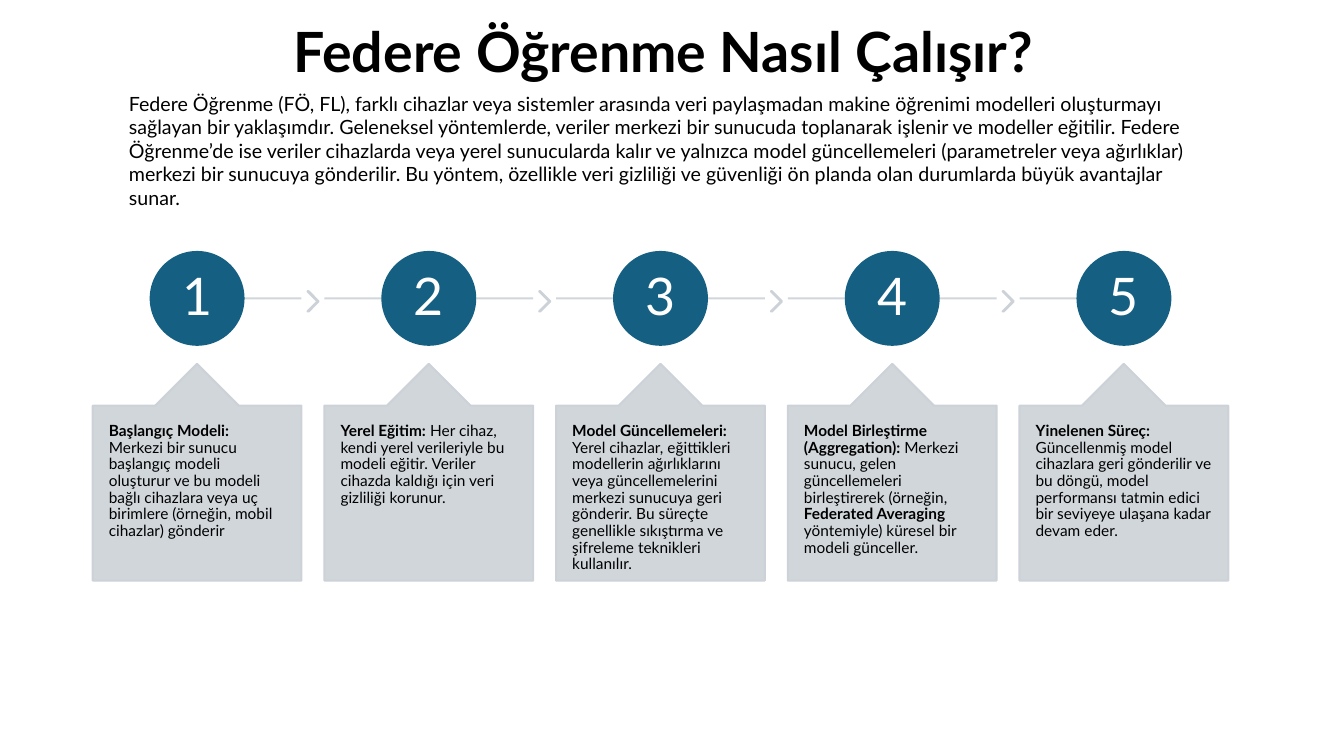
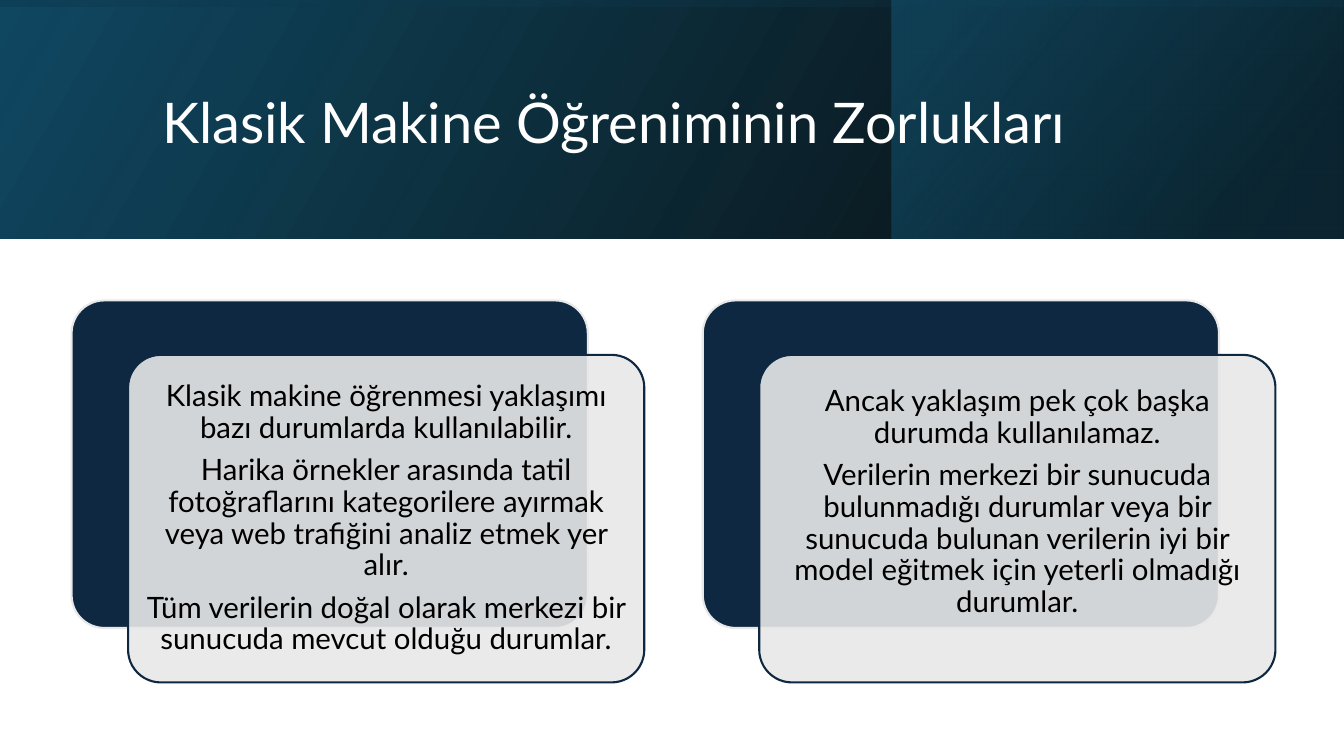
from lxml import etree
from pptx import Presentation
from pptx.dml.color import RGBColor
from pptx.enum import shapes, text
from pptx.oxml import ns
from pptx.util import Inches, Pt

COLORS = {"black": "000000", "white": "FFFFFF", "teal": "156082", "petrol": "104862",
          "deep": "0B3041", "mist": "CCD2D8", "navy": "0E2841", "pale": "E8E8E8"}
FONT = "Lato"
SHAPE = shapes.MSO_SHAPE
MIDDLE = text.MSO_ANCHOR.MIDDLE
TOP = text.MSO_ANCHOR.TOP
CENTER = text.PP_ALIGN.CENTER
LEFT = text.PP_ALIGN.LEFT

PROCESS_TITLE = "Federe Öğrenme Nasıl Çalışır?"
INTRO = (
    "Federe Öğrenme (FÖ, FL), farklı cihazlar veya sistemler arasında veri paylaşmadan "
    "makine öğrenimi modelleri oluşturmayı sağlayan bir yaklaşımdır. Geleneksel yöntemlerde, "
    "veriler merkezi bir sunucuda toplanarak işlenir ve modeller eğitilir. Federe Öğrenme’de "
    "ise veriler cihazlarda veya yerel sunucularda kalır ve yalnızca model güncellemeleri "
    "(parametreler veya ağırlıklar) merkezi bir sunucuya gönderilir. Bu yöntem, özellikle veri "
    "gizliliği ve güvenliği ön planda olan durumlarda büyük avantajlar sunar.")
STEPS = [
    ("Başlangıç Modeli:",
     " Merkezi bir sunucu başlangıç modeli oluşturur ve bu modeli bağlı cihazlara veya uç "
     "birimlere (örneğin, mobil cihazlar) gönderir"),
    ("Yerel Eğitim:",
     " Her cihaz, kendi yerel verileriyle bu modeli eğitir. Veriler cihazda kaldığı için veri "
     "gizliliği korunur."),
    ("Model Güncellemeleri:",
     " Yerel cihazlar, eğittikleri modellerin ağırlıklarını veya güncellemelerini merkezi "
     "sunucuya geri gönderir. Bu süreçte genellikle sıkıştırma ve şifreleme teknikleri "
     "kullanılır."),
    ("Model Birleştirme (Aggregation):",
     " Merkezi sunucu, gelen güncellemeleri birleştirerek (örneğin, ",
     "Federated Averaging", " yöntemiyle) küresel bir modeli günceller."),
    ("Yinelenen Süreç:",
     " Güncellenmiş model cihazlara geri gönderilir ve bu döngü, model performansı tatmin "
     "edici bir seviyeye ulaşana kadar devam eder."),
]

CHALLENGE_TITLE = "Klasik Makine Öğreniminin Zorlukları"
BANDS = [
    ((0, 0, 13.33, 2.37), 0, 330, [(0, "black", 96), (100, "petrol", 100)]),
    ((8.84, 0, 4.48, 2.37), 0, 320, [(19, "deep", 68), (100, "teal", 48)]),
    ((5.48, -5.48, 2.37, 13.33), 270, 350, [(23, "petrol", 16), (99, "black", 45)]),
]
CARDS = [
    (0.09, ["Klasik makine öğrenmesi yaklaşımı bazı durumlarda kullanılabilir.",
            "Harika örnekler arasında tatil fotoğraflarını kategorilere ayırmak veya web "
            "trafiğini analiz etmek yer alır.",
            "Tüm verilerin doğal olarak merkezi bir sunucuda mevcut olduğu durumlar."]),
    (0.41, ["Ancak yaklaşım pek çok başka durumda kullanılamaz.",
            "Verilerin merkezi bir sunucuda bulunmadığı durumlar veya bir sunucuda bulunan "
            "verilerin iyi bir model eğitmek için yeterli olmadığı durumlar."]),
]


def rgb(name):
    return RGBColor.from_string(COLORS[name])


def box(*lengths):
    return [Inches(v) for v in lengths]


def set_alpha(fill_xml, percent):
    for clr in fill_xml.iter(ns.qn("a:srgbClr")):
        etree.SubElement(clr, ns.qn("a:alpha")).set("val", str(percent * 1000))


def add_shape(s, kind, at, fill, line, adjustments=(), alpha=None):
    sp = s.shapes.add_shape(kind, *box(*at))
    sp.shadow.inherit = False
    for i, value in enumerate(adjustments):
        sp.adjustments[i] = value
    sp.fill.solid()
    sp.fill.fore_color.rgb = rgb(fill)
    if alpha:
        set_alpha(sp.element.spPr, alpha)
    sp.line.color.rgb = rgb(line)
    sp.line.width = Pt(1.5)
    return sp


def write(sp, paragraphs, size, color="black", align=LEFT, anchor=TOP,
          insets=(0.1, 0.05, 0.1, 0.05), spacing=0.9, after=0, bold=False):
    tf = sp.text_frame
    tf.word_wrap = True
    tf.vertical_anchor = anchor
    tf.margin_left, tf.margin_top, tf.margin_right, tf.margin_bottom = box(*insets)
    for i, parts in enumerate(paragraphs):
        p = tf.add_paragraph() if i else tf.paragraphs[0]
        p.alignment = align
        p.line_spacing = spacing
        p.space_after = Pt(after)
        p.font.name = FONT
        p.font.size = Pt(size)
        p.font.color.rgb = rgb(color)
        p.font.bold = bold
        if isinstance(parts, str):
            parts = [parts]
        for j, part in enumerate(parts):
            r = p.add_run()
            r.text = part
            if len(parts) > 1:
                r.font.bold = j % 2 == 0


def add_text(s, at, paragraphs, size, **style):
    write(s.shapes.add_textbox(*box(*at)), paragraphs, size, **style)


def add_title(s, at, title, size, **style):
    add_text(s, at, [title], size, anchor=MIDDLE, **style)


def add_line(s, x1, x2, y):
    line = s.shapes.add_connector(shapes.MSO_CONNECTOR.STRAIGHT, *box(x1, y, x2, y))
    line.line.color.rgb = rgb("mist")
    line.line.width = Pt(1.5)
    set_alpha(line.element.spPr, 90)
    etree.SubElement(line.element.spPr, ns.qn("a:effectLst"))


def add_band(s, at, rotation, angle, stops):
    sp = s.shapes.add_shape(SHAPE.RECTANGLE, *box(*at))
    sp.shadow.inherit = False
    sp.line.fill.background()
    sp.rotation = rotation
    spPr = sp.element.spPr
    spPr.find(ns.qn("a:xfrm")).set("flipH", "1")
    grad = etree.Element(ns.qn("a:gradFill"), rotWithShape="1")
    gs_list = etree.SubElement(grad, ns.qn("a:gsLst"))
    for position, color, alpha in stops:
        gs = etree.SubElement(gs_list, ns.qn("a:gs"), pos=str(position * 1000))
        etree.SubElement(gs, ns.qn("a:srgbClr"), val=COLORS[color])
        set_alpha(gs, alpha)
    etree.SubElement(grad, ns.qn("a:lin"), ang=str(angle * 60000), scaled="0")
    spPr.find(ns.qn("a:prstGeom")).addnext(grad)


def build_process(s):
    add_title(s, (0.83, 0.06, 11.5, 0.97), PROCESS_TITLE, 39.6, align=CENTER, bold=True)
    left, width, pitch, circle, axis = 0.92, 2.07, 2.298, 0.92, 2.96
    last = len(STEPS) - 1
    for i, step in enumerate(STEPS):
        x = left + i * pitch
        middle = x + width / 2
        add_line(s, x if i else middle, x + width if i < last else middle, axis)
        if i < last:
            add_shape(s, SHAPE.CHEVRON, (x + 2.13, 2.89, 0.11, 0.2), "mist", "mist", [0.9], 90)
        number = add_shape(s, SHAPE.OVAL, (middle - circle / 2, axis - circle / 2, circle, circle),
                           "teal", "teal")
        write(number, [str(i + 1)], 37, color="white", align=CENTER, anchor=MIDDLE,
              insets=[0.04] * 4)
        add_shape(s, SHAPE.UP_ARROW_CALLOUT, (x, 3.61, width, 2.15), "mist", "mist",
                  [0.5, 0.2, 0.2, 1], 90)
        add_text(s, (x, 4.02, width, 1.74), [step], 11, insets=(0.16, 0.18, 0.16, 0.18))
    add_text(s, (1.18, 0.86, 10.79, 1.28), [INTRO], 14, spacing=1.0)


def build_challenges(s):
    for band in BANDS:
        add_band(s, *band)
    add_title(s, (1.51, 0.38, 10.63, 1.72), CHALLENGE_TITLE, 40, color="white")
    left, top, width, height, pitch = 0.71, 2.98, 5.12, 3.25, 6.26
    for i, (bottom, paragraphs) in enumerate(CARDS):
        x = left + i * pitch
        add_shape(s, SHAPE.ROUNDED_RECTANGLE, (x, top, width, height), "navy", "pale", [0.1])
        card = add_shape(s, SHAPE.ROUNDED_RECTANGLE, (x + 0.56, top + 0.54, width, height),
                         "pale", "navy", [0.1], 90)
        write(card, paragraphs, 21, align=CENTER, anchor=MIDDLE,
              insets=(0.09, 0.09, 0.09, bottom), after=7.5)


def main():
    prs = Presentation()
    prs.slide_width, prs.slide_height = box(13.33, 7.5)
    for build in (build_process, build_challenges):
        build(prs.slides.add_slide(prs.slide_layouts[6]))
    prs.save("out.pptx")


if __name__ == "__main__":
    main()
